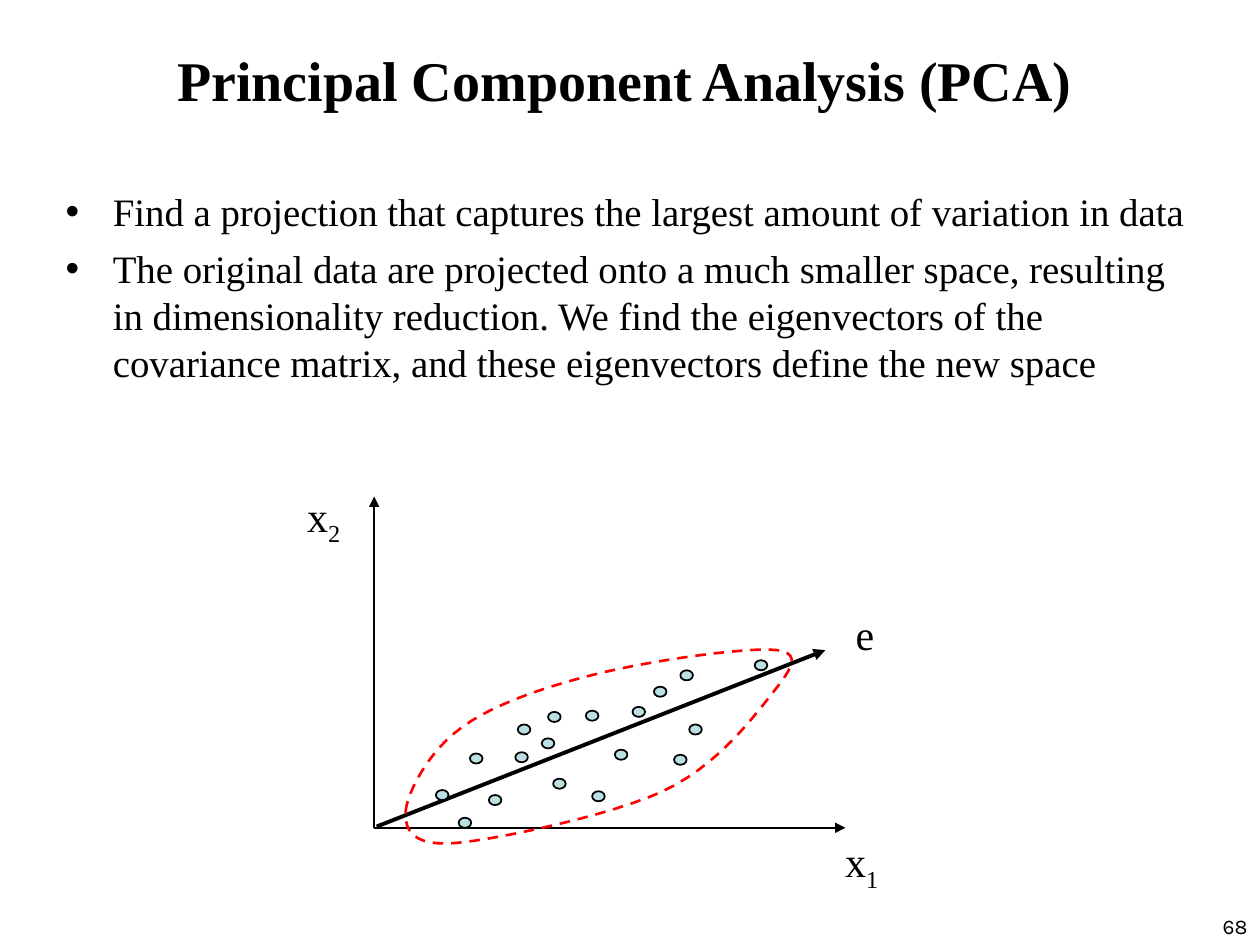
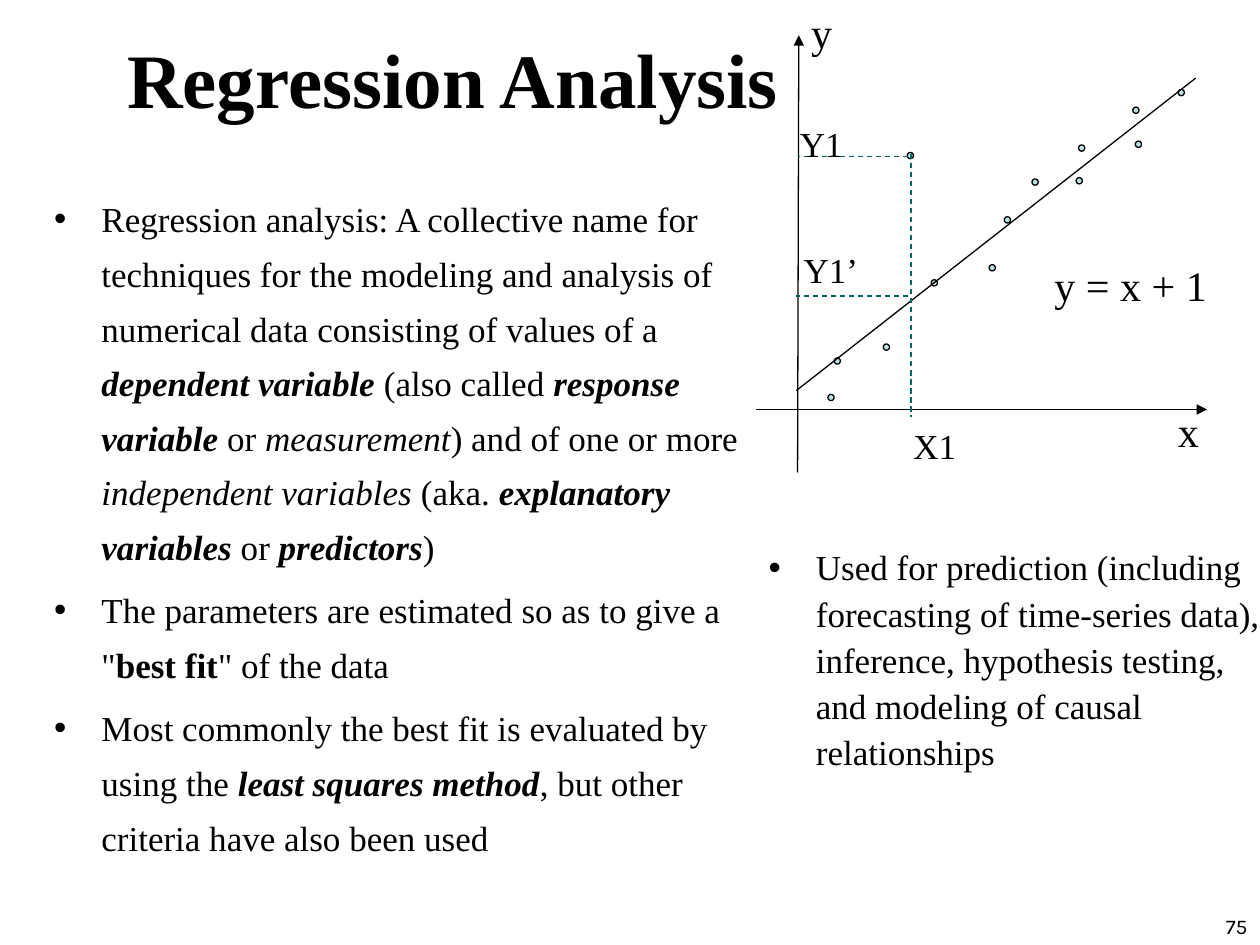
from lxml.etree import SubElement
from pptx import Presentation
from pptx.dml.color import RGBColor
from pptx.enum.dml import MSO_LINE_DASH_STYLE as Dash
from pptx.enum.shapes import MSO_CONNECTOR as Connector, MSO_SHAPE as Shape
from pptx.enum.text import MSO_ANCHOR as Anchor, MSO_AUTO_SIZE as AutoSize, PP_ALIGN as Align
from pptx.oxml.ns import qn
from pptx.util import Inches, Pt

BLACK = RGBColor(0x00, 0x00, 0x00)
POINT_BLUE = RGBColor(0xBB, 0xE0, 0xE3)
CLUSTER_RED = RGBColor(0xFF, 0x00, 0x00)
GUIDE_TEAL = RGBColor(0x00, 0x66, 0x66)
SERIF = "Times New Roman"
PAGE_FONT = "Karla"
CURVE_STEPS = 12

PCA_POINTS = [
    (3.73, 5.98), (4.11, 5.75), (3.46, 6.27), (4.3, 5.86), (4.09, 5.97), (4.88, 5.95),
    (4.7, 6.28), (4.39, 6.18), (4.65, 5.64), (5.47, 5.75), (5.99, 5.24), (3.88, 6.31),
    (5.02, 5.61), (5.4, 5.32), (4.35, 5.65), (5.19, 5.45), (5.35, 5.99), (3.64, 6.49),
]
CLUSTER_START = (3.22, 6.44)
CLUSTER_CURVES = [
    ((3.23, 6.29), (3.41, 5.95), (3.67, 5.77)),
    ((3.93, 5.58), (4.36, 5.44), (4.77, 5.34)),
    ((5.19, 5.24), (5.95, 5.13), (6.17, 5.16)),
    ((6.39, 5.19), (6.25, 5.35), (6.1, 5.54)),
    ((5.95, 5.73), (5.67, 6.09), (5.26, 6.28)),
    ((4.85, 6.47), (3.96, 6.66), (3.62, 6.69)),
    ((3.28, 6.72), (3.21, 6.59), CLUSTER_START),
]
REGRESSION_POINTS = [
    (7.85, 2.1), (7.39, 2.22), (7.2, 1.21), (7.01, 2.73), (7.97, 1.72), (8.19, 1.42),
    (6.62, 2.84), (8.54, 1.41), (8.56, 1.15), (9.01, 1.12), (6.57, 3.13), (8.99, 0.85),
    (9.35, 0.71),
]

PCA_BULLETS = [
    [("Find a projection that captures the largest amount of variation in data", "")],
    [("The original data are projected onto a much smaller space, resulting in "
      "dimensionality reduction. We find the eigenvectors of the covariance matrix, "
      "and these eigenvectors define the new space", "")],
]
REGRESSION_BULLETS = [
    [("Regression analysis: A collective name for techniques for the modeling and "
      "analysis of numerical data consisting of values of a ", ""),
     ("dependent variable ", "bi"), ("(also called ", ""),
     ("response variable ", "bi"), ("or ", ""), ("measurement", "i"),
     (") and of one or more ", ""), ("independent variables", "i"), (" (aka. ", ""),
     ("explanatory variables ", "bi"), ("or ", ""), ("predictors", "bi"), (")", "")],
    [('The parameters are estimated so as to give a "', ""), ("best fit", "b"),
     ('" of the data', "")],
    [("Most commonly the best fit is evaluated by using the ", ""),
     ("least squares method", "bi"), (", but other criteria have also been used", "")],
]
USAGE_BULLETS = [
    [("Used for prediction (including forecasting of time-series data), inference, "
      "hypothesis testing, and modeling of causal relationships", "")],
]


def style_run(run, size, font=SERIF, bold=False, italic=False):
    run.font.size = Pt(size)
    run.font.name = font
    run.font.bold = bold
    run.font.italic = italic
    run.font.color.rgb = BLACK


def place(shape, left, top, width, height):
    shape.left, shape.top = Inches(left), Inches(top)
    shape.width, shape.height = Inches(width), Inches(height)


def set_title(slide, text, box, size):
    title = slide.shapes.title
    place(title, *box)
    frame = title.text_frame
    frame.text = text
    frame.auto_size = AutoSize.NONE
    frame.vertical_anchor = Anchor.MIDDLE
    frame.paragraphs[0].alignment = Align.CENTER
    style_run(frame.paragraphs[0].runs[0], size, bold=True)


def fill_bullets(body, bullets, box, size, line_spacing, space_before):
    place(body, *box)
    frame = body.text_frame
    frame.auto_size = AutoSize.NONE
    for index, phrases in enumerate(bullets):
        paragraph = frame.add_paragraph() if index else frame.paragraphs[0]
        paragraph.line_spacing = line_spacing
        paragraph.space_before = Pt(space_before)
        for phrase, emphasis in phrases:
            run = paragraph.add_run()
            run.text = phrase
            style_run(run, size, bold="b" in emphasis, italic="i" in emphasis)


def add_page_number(slide, number):
    page = slide.shapes.add_textbox(Inches(7.92), Inches(7.08), Inches(2.08), Inches(0.42))
    frame = page.text_frame
    frame.word_wrap = True
    frame.vertical_anchor = Anchor.BOTTOM
    frame.text = str(number)
    frame.paragraphs[0].alignment = Align.RIGHT
    style_run(frame.paragraphs[0].runs[0], 12, PAGE_FONT)


def add_label(slide, text, box, size=24, subscript="", align=Align.LEFT, anchor=Anchor.TOP):
    label = slide.shapes.add_textbox(*map(Inches, box))
    frame = label.text_frame
    frame.word_wrap = False
    frame.auto_size = AutoSize.SHAPE_TO_FIT_TEXT
    frame.vertical_anchor = anchor
    frame.text = text
    paragraph = frame.paragraphs[0]
    paragraph.alignment = align
    style_run(paragraph.runs[0], size)
    if subscript:
        index = paragraph.add_run()
        index.text = subscript
        style_run(index, size)
        index._r.get_or_add_rPr().set("baseline", "-25000")


def add_line(slide, start, end, width=0.75, color=BLACK, arrow=False, dashed=False):
    line = slide.shapes.add_connector(Connector.STRAIGHT, *map(Inches, start + end))
    line.line.color.rgb = color
    line.line.width = Pt(width)
    if dashed:
        line.line.dash_style = Dash.DASH
    if arrow:
        SubElement(line.line._get_or_add_ln(), qn("a:tailEnd"), type="triangle")
    SubElement(line._element.spPr, qn("a:effectLst"))


def add_points(slide, points, width, height, outline):
    for left, top in points:
        point = slide.shapes.add_shape(
            Shape.OVAL, Inches(left), Inches(top), Inches(width), Inches(height))
        point.shadow.inherit = False
        point.fill.solid()
        point.fill.fore_color.rgb = POINT_BLUE
        point.line.color.rgb = BLACK
        point.line.width = Pt(outline)


def curve_points(start, curves):
    for control_1, control_2, end in curves:
        for step in range(1, CURVE_STEPS + 1):
            t = step / CURVE_STEPS
            weights = ((1 - t) ** 3, 3 * t * (1 - t) ** 2, 3 * t ** 2 * (1 - t), t ** 3)
            yield tuple(
                Inches(sum(w * c for w, c in zip(weights, coords)))
                for coords in zip(start, control_1, control_2, end))
        start = end


def add_cluster_outline(slide):
    builder = slide.shapes.build_freeform(*map(Inches, CLUSTER_START))
    builder.add_line_segments(list(curve_points(CLUSTER_START, CLUSTER_CURVES)), close=True)
    cluster = builder.convert_to_shape()
    cluster.shadow.inherit = False
    cluster.fill.background()
    cluster.line.color.rgb = CLUSTER_RED
    cluster.line.width = Pt(1.5)
    cluster.line.dash_style = Dash.DASH


def build_pca(prs):
    slide = prs.slides.add_slide(prs.slide_layouts.get_by_name("Title and Content"))
    set_title(slide, "Principal Component Analysis (PCA)", (0.17, 0.17, 9.58, 0.92), 32)
    fill_bullets(slide.placeholders[1], PCA_BULLETS, (0.42, 1.44, 9.17, 1.75), 22.2, 1.0, 6)
    add_page_number(slide, 68)

    origin = (2.97, 6.57)
    add_line(slide, origin, (2.97, 3.94), width=1, arrow=True)
    add_line(slide, origin, (6.71, 6.57), width=1, arrow=True)
    add_line(slide, (2.99, 6.56), (6.55, 5.16), width=2.25, arrow=True)
    add_points(slide, PCA_POINTS, 0.1, 0.08, 1)
    add_cluster_outline(slide)
    for text, subscript, box in [
        ("x", "2", (2.34, 3.84, 0.46, 0.56)),
        ("x", "1", (6.61, 6.58, 0.46, 0.56)),
        ("e", "", (6.69, 4.78, 0.35, 0.5)),
    ]:
        add_label(slide, text, box, subscript=subscript, align=Align.CENTER,
                  anchor=Anchor.MIDDLE)


def build_regression(prs):
    slide = prs.slides.add_slide(prs.slide_layouts.get_by_name("Two Content"))
    set_title(slide, "Regression Analysis", (0.18, 0.28, 6.83, 0.67), 44)
    fill_bullets(slide.placeholders[1], REGRESSION_BULLETS, (0.33, 1.42, 5.92, 5.67), 20, 1.3, 5)
    fill_bullets(slide.placeholders[2], USAGE_BULLETS, (6, 4.25, 4.17, 2.5), 20, 1.1, 5)
    add_page_number(slide, 75)

    add_line(slide, (6, 3.25), (9.58, 3.25), arrow=True)
    add_line(slide, (6.33, 3.75), (6.34, 0.28), arrow=True)
    add_points(slide, REGRESSION_POINTS, 0.05, 0.05, 0.75)
    add_line(slide, (6.32, 3.1), (9.49, 0.62))
    for start, end in [
        ((7.23, 1.22), (7.23, 3.31)),
        ((7.21, 1.24), (6.33, 1.24)),
        ((7.21, 2.35), (6.32, 2.35)),
    ]:
        add_line(slide, start, end, color=GUIDE_TEAL, dashed=True)
    for text, size, box in [
        ("y", 24, (6.34, 0, 0.36, 0.5)),
        ("x", 24, (9.25, 3.17, 0.36, 0.5)),
        ("y = x + 1", 24, (8.27, 2.01, 1.41, 0.5)),
        ("X1", 20, (7.15, 3.32, 0.54, 0.44)),
        ("Y1", 20, (6.25, 0.92, 0.54, 0.44)),
        ("Y1’", 20, (6.28, 1.92, 0.63, 0.44)),
    ]:
        add_label(slide, text, box, size)


def main():
    prs = Presentation()
    prs.slide_width, prs.slide_height = Inches(10), Inches(7.5)
    build_pca(prs)
    build_regression(prs)
    prs.save("out.pptx")


if __name__ == "__main__":
    main()
